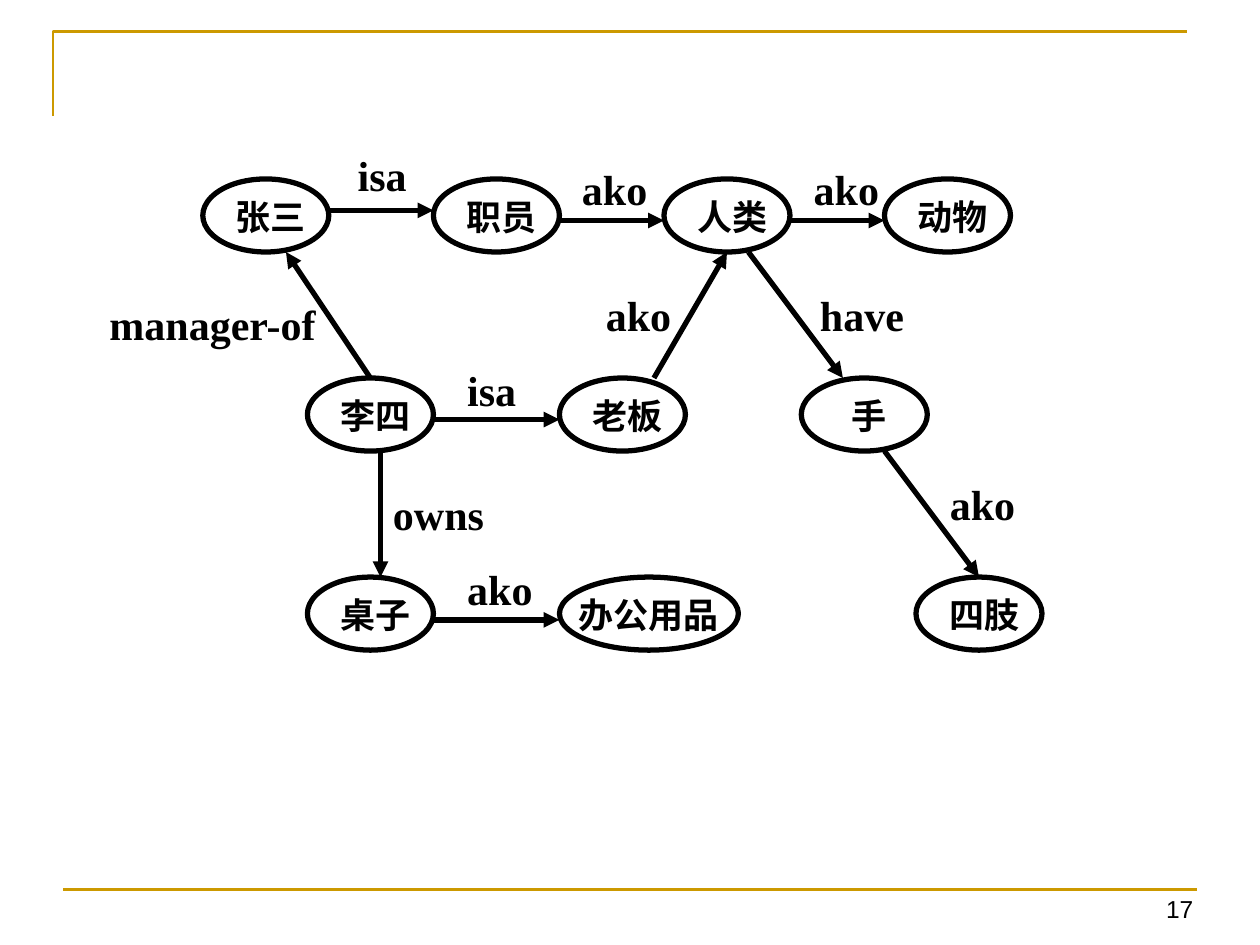
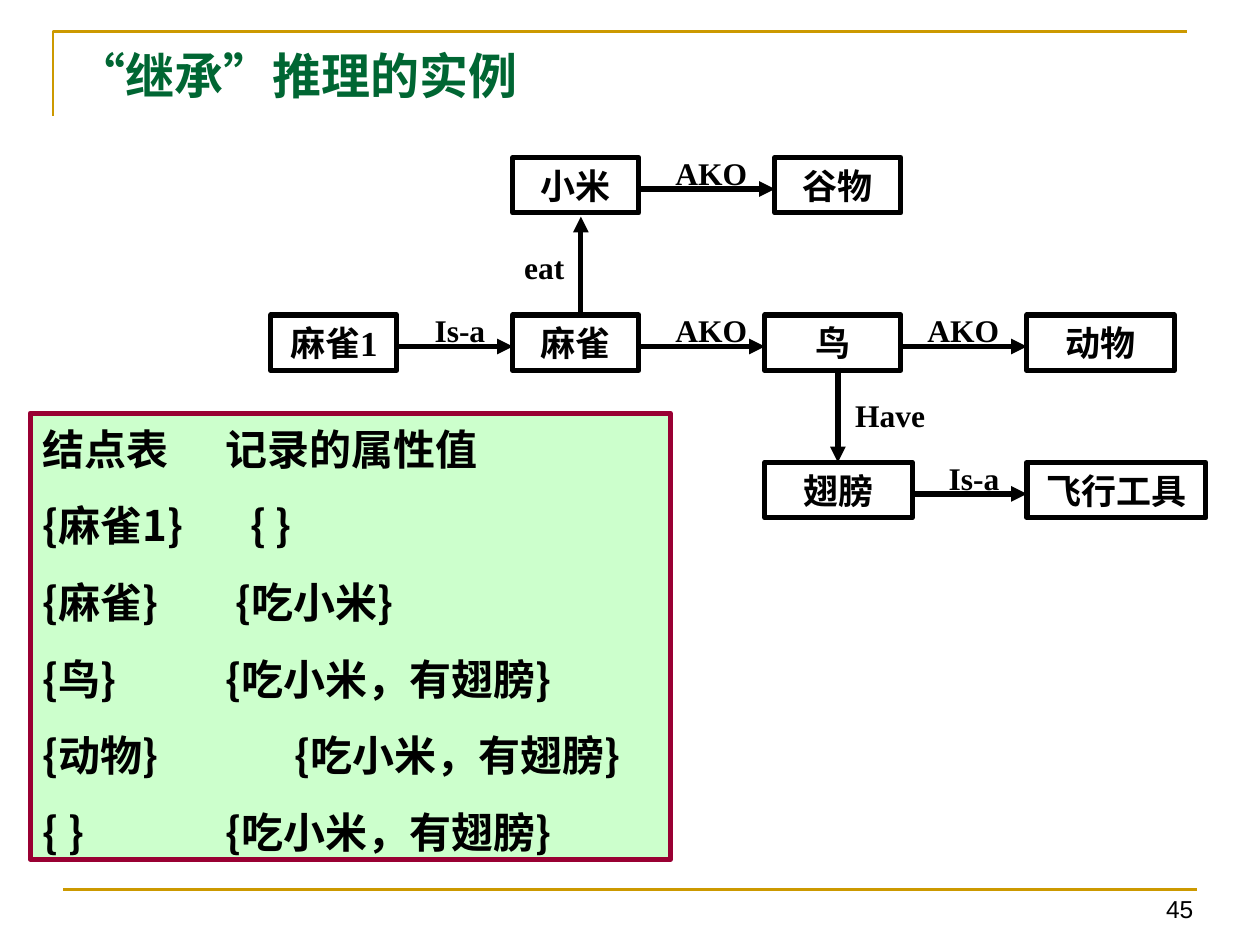
from dataclasses import dataclass

from pptx import Presentation
from pptx.dml.color import RGBColor
from pptx.enum.shapes import MSO_CONNECTOR as Connector, MSO_SHAPE as Preset
from pptx.enum.text import MSO_ANCHOR as Anchor, MSO_AUTO_SIZE as AutoSize, PP_ALIGN as Align
from pptx.oxml.ns import qn
from pptx.util import Inches, Pt
from lxml.etree import SubElement


@dataclass(frozen=True)
class Theme:
    # Colours
    ink: str = "000000"
    paper: str = "FFFFFF"
    gold: str = "CC9900"
    title: str = "006633"
    panel: str = "CCFFCC"
    panel_edge: str = "990033"
    # Fonts
    serif: str = "Times New Roman"
    sans: str = "Arial"
    chinese: str = "Noto Sans CJK SC"
    # Type sizes and line widths in points
    title_size: int = 28
    large_size: int = 24
    node_size: int = 20
    label_size: int = 18
    number_size: int = 14
    rule_width: float = 1.5
    line_width: float = 3


THEME = Theme()
TITLE_ONLY, BLANK = 5, 6
NODE_HEIGHT = 0.44


def rgb(value):
    return RGBColor.from_string(value)


def apply(target, formats):
    for name, value in formats.items():
        setattr(target, name, value)


class Deck:
    """Holds the theme and the slide being built."""

    def __init__(self, theme):
        self.theme = theme
        self.presentation = Presentation()
        apply(self.presentation, {"slide_width": Inches(10), "slide_height": Inches(7.5)})
        self.slide = None

    def new_slide(self, number, title=None):
        layout = self.presentation.slide_layouts[TITLE_ONLY if title else BLANK]
        self.slide = self.presentation.slides.add_slide(layout)
        theme = self.theme
        # Corner band, bottom rule and page number
        builder = self.slide.shapes.build_freeform(Inches(0.42), Inches(0.92))
        builder.add_line_segments(
            [(Inches(0.42), Inches(0.25)), (Inches(9.42), Inches(0.25))], close=False)
        self.paint(builder.convert_to_shape(), None, theme.gold, theme.rule_width)
        self.line((0.5, 7.06), (9.5, 7.06), theme.gold, theme.rule_width)
        self.text(str(number), (8.55, 7.04, 1.02, 0.34), theme.number_size,
                  Align.RIGHT, font=theme.sans, bold=False)
        if title:
            self.title(title)

    def paint(self, shape, fill, line, width):
        shape.shadow.inherit = False
        if fill:
            shape.fill.solid()
            shape.fill.fore_color.rgb = rgb(fill)
        else:
            shape.fill.background()
        shape.line.color.rgb = rgb(line)
        shape.line.width = Pt(width)

    def frame(self, shape):
        apply(shape.text_frame, {
            "word_wrap": True, "auto_size": AutoSize.NONE, "vertical_anchor": Anchor.MIDDLE,
            "margin_left": Inches(0.1), "margin_right": Inches(0.1),
            "margin_top": Inches(0.05), "margin_bottom": Inches(0.05)})
        return shape.text_frame

    def fill_paragraph(self, paragraph, text, size, align=Align.LEFT, font=None, color=None,
                       bold=True):
        paragraph.alignment = align
        run = paragraph.add_run()
        run.text = text
        apply(run.font, {"name": font or self.theme.serif, "size": Pt(size), "bold": bold})
        run.font.color.rgb = rgb(color or self.theme.ink)
        east_asian = SubElement(run._r.get_or_add_rPr(), qn("a:ea"))
        east_asian.set("typeface", self.theme.chinese)

    def title(self, text):
        shape = self.slide.shapes.title
        apply(shape, dict(zip(("left", "top", "width", "height"),
                              map(Inches, (0.51, 0.28, 8.82, 0.63)))))
        self.fill_paragraph(self.frame(shape).paragraphs[0], text, self.theme.title_size,
                            color=self.theme.title)

    def text(self, text, box, size, align=Align.LEFT, **style):
        shape = self.slide.shapes.add_textbox(*map(Inches, box))
        self.fill_paragraph(self.frame(shape).paragraphs[0], text, size, align, **style)

    def shape(self, preset, box, fill=None, line=None):
        shape = self.slide.shapes.add_shape(preset, *map(Inches, box))
        self.paint(shape, fill, line or self.theme.ink, self.theme.line_width)
        return shape

    def ellipse_node(self, text, left, top, width=1):
        self.shape(Preset.OVAL, (left, top, width, 0.58))
        shift = 0.08 if width == 1 else 0
        self.text(text, (left + shift, top + 0.08, width - shift, NODE_HEIGHT),
                  self.theme.node_size, Align.CENTER)

    def box_node(self, text, left, top, width=1, fill=None):
        shape = self.shape(Preset.RECTANGLE, (left, top, width, NODE_HEIGHT), fill)
        self.fill_paragraph(self.frame(shape).paragraphs[0], text, self.theme.node_size,
                            Align.CENTER)

    def line(self, start, end, color, width):
        connector = self.slide.shapes.add_connector(
            Connector.STRAIGHT, *map(Inches, (*start, *end)))
        connector.line.color.rgb = rgb(color)
        connector.line.width = Pt(width)
        SubElement(connector._element.spPr, qn("a:effectLst"))
        return connector

    def arrow(self, start, end):
        connector = self.line(start, end, self.theme.ink, self.theme.line_width)
        outline = connector._element.spPr.find(qn("a:ln"))
        SubElement(outline, qn("a:tailEnd")).set("type", "triangle")

    def record_panel(self, box, rows):
        """Two-column list; each row gives its own tab stop."""
        shape = self.shape(Preset.RECTANGLE, box, self.theme.panel, self.theme.panel_edge)
        frame = self.frame(shape)
        apply(frame, {"vertical_anchor": Anchor.TOP, "margin_top": Inches(0.08)})
        for index, (node, values, stop) in enumerate(rows):
            paragraph = frame.add_paragraph() if index else frame.paragraphs[0]
            tabs = SubElement(paragraph._p.get_or_add_pPr(), qn("a:tabLst"))
            tab = SubElement(tabs, qn("a:tab"))
            tab.set("pos", str(Inches(stop)))
            tab.set("algn", "l")
            apply(paragraph, {"line_spacing": Pt(28.8), "space_before": Pt(15 if index else 0)})
            self.fill_paragraph(paragraph, f"{node}\t{values}", self.theme.large_size,
                                font=self.theme.chinese)


def build_people_network(deck):
    deck.new_slide(17)
    # Nodes, row by row
    rows = [
        [("张三", 1.61), ("职员", 3.44), ("人类", 5.27), ("动物", 7.02)],
        [("李四", 2.44), ("老板", 4.44), ("手", 6.36)],
        [("桌子", 2.44), ("办公用品", 4.44, 1.42), ("四肢", 7.27)],
    ]
    for index, row in enumerate(rows):
        for name, left, *width in row:
            deck.ellipse_node(name, left, 1.42 + 1.58 * index, *width)
    # Relations: label, label position and width, arrow start and end
    relations = [
        ("isa", (2.74, 1.14), 1.25, (2.61, 1.67), (3.44, 1.67)),
        ("ako", (4.52, 1.25), 1.25, (4.44, 1.75), (5.27, 1.75)),
        ("ako", (6.36, 1.25), 1.25, (6.27, 1.75), (7.02, 1.75)),
        ("manager-of", (0.77, 2.32), 2.08, (2.94, 3), (2.27, 2)),
        ("isa", (3.61, 2.84), 1.25, (3.44, 3.33), (4.44, 3.33)),
        ("owns", (3.02, 3.83), 1.25, (3.02, 3.58), (3.02, 4.58)),
        ("ako", (3.61, 4.42), 1.25, (3.44, 4.92), (4.44, 4.92)),
        ("ako", (4.71, 2.25), 1.25, (5.19, 3), (5.77, 2)),
        ("have", (6.41, 2.25), 2, (5.94, 2), (6.69, 3)),
        ("ako", (7.44, 3.75), 1.25, (7.02, 3.58), (7.77, 4.58)),
    ]
    for label, position, width, start, end in relations:
        deck.arrow(start, end)
        deck.text(label, (*position, width, 0.5), deck.theme.large_size)


def build_inheritance_example(deck):
    deck.new_slide(45, "“继承”推理的实例")
    # Nodes
    paper = deck.theme.paper
    nodes = [
        ("小米", 4.07, 1.25), ("谷物", 6.15, 1.25),
        ("麻雀1", 2.15, 2.5), ("麻雀", 4.07, 2.5),
        ("鸟", 6.07, 2.5, 1.08, paper), ("动物", 8.15, 2.5, 1.17, paper),
        ("翅膀", 6.07, 3.67, 1.17), ("飞行工具", 8.15, 3.67, 1.42, paper),
    ]
    for node in nodes:
        deck.box_node(*node)
    # Relations: label, label position and width, arrow start and end
    relations = [
        ("AKO", (4.98, 1.17), 1.33, (5.07, 1.5), (6.15, 1.5)),
        ("eat", (3.82, 1.92), 1, (4.61, 2.51), (4.61, 1.72)),
        ("Is-a", (3.15, 2.42), 1, (3.15, 2.75), (4.07, 2.75)),
        ("AKO", (4.98, 2.42), 1.33, (5.07, 2.75), (6.07, 2.75)),
        ("AKO", (6.98, 2.42), 1.33, (7.15, 2.75), (8.15, 2.75)),
        ("Have", (6.65, 3.09), 0.83, (6.65, 2.92), (6.65, 3.67)),
        ("Is-a", (7.23, 3.59), 1, (7.23, 3.92), (8.15, 3.92)),
    ]
    for label, position, width, start, end in relations:
        deck.arrow(start, end)
        deck.text(label, (*position, width, 0.4), deck.theme.label_size, Align.CENTER)
    # Node table with the attribute values recorded for each node
    inherited = "{吃小米，有翅膀}"
    deck.record_panel((0.24, 3.28, 5.08, 3.54), [
        ("结点表", "记录的属性值", 1.45),
        ("{麻雀1}", "{ }", 1.65),
        ("{麻雀}", "{吃小米}", 1.53),
        ("{鸟}", inherited, 1.45),
        ("{动物}", inherited, 2),
        ("{ }", inherited, 1.45),
    ])


def main():
    deck = Deck(THEME)
    build_people_network(deck)
    build_inheritance_example(deck)
    deck.presentation.save("out.pptx")


if __name__ == "__main__":
    main()
